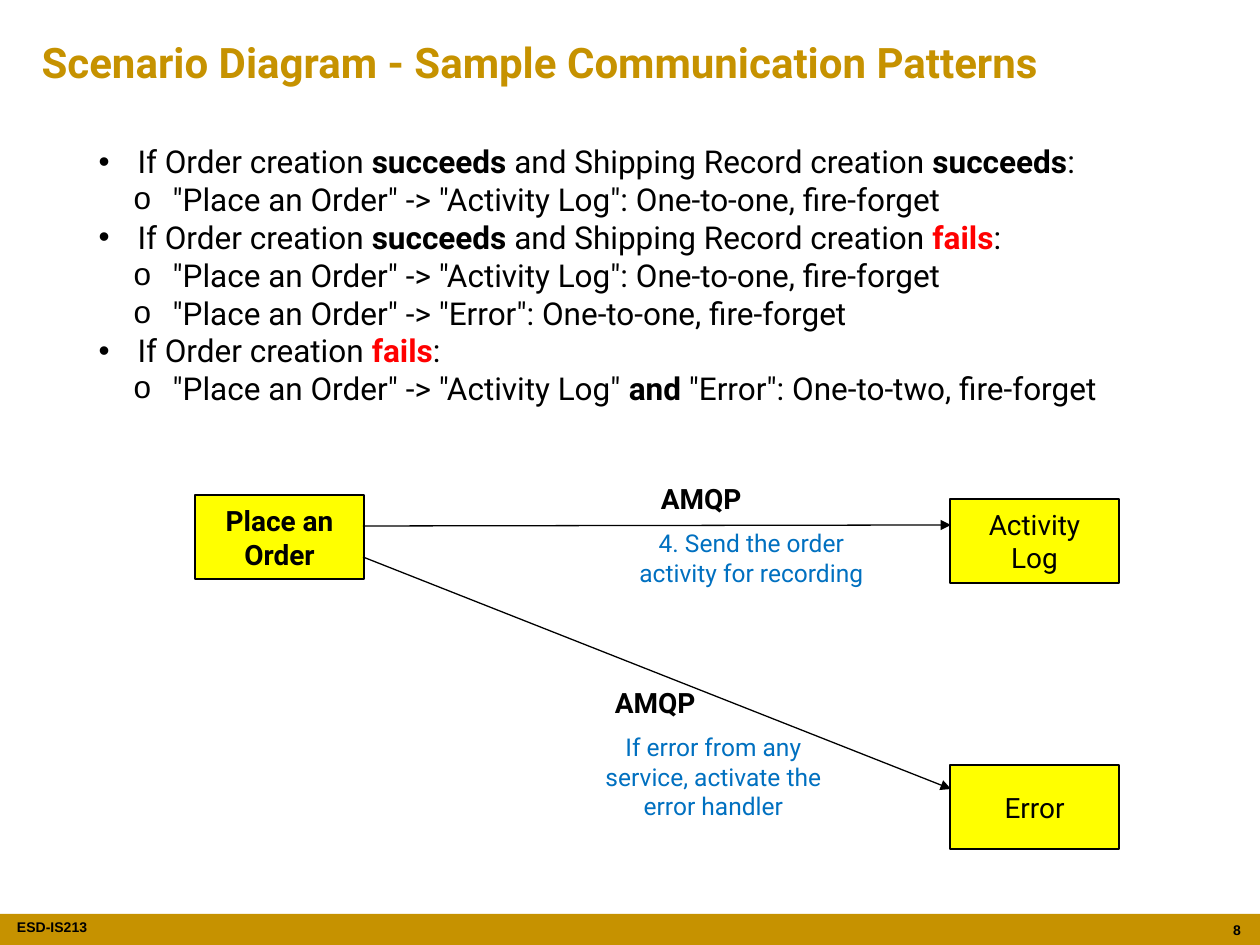
"""Build the slide of sample communication patterns between order services."""
import pptx
import pptx.util
import pptx.dml.color
import pptx.enum.shapes
import pptx.enum.text
import pptx.oxml.ns
from lxml import etree

WIDTH, HEIGHT, PX_PER_INCH = 1260, 945, 126
GOLD, YELLOW, BLACK, RED, BLUE = "C69200", "FFFF00", "000000", "FF0000", "0070C0"
ALIGN = pptx.enum.text.PP_ALIGN
ANCHOR = pptx.enum.text.MSO_ANCHOR

TITLE = "Scenario Diagram - Sample Communication Patterns"
SUCCEEDS = ("succeeds", BLACK)
FAILS = ("fails", RED)
LOG_ONLY = '"Place an Order" -> "Activity Log": One-to-one, fire-forget'
PATTERNS = [
    (0, ["If Order creation ", SUCCEEDS, " and Shipping Record creation ", SUCCEEDS, ":"]),
    (1, [LOG_ONLY]),
    (0, ["If Order creation ", SUCCEEDS, " and Shipping Record creation ", FAILS, ":"]),
    (1, [LOG_ONLY]),
    (1, ['"Place an Order" -> "Error": One-to-one, fire-forget']),
    (0, ["If Order creation ", FAILS, ":"]),
    (1, ['"Place an Order" -> "Activity Log" ', ("and", BLACK), ' "Error": One-to-two, fire-forget']),
]
BULLETS = [("•", 39), ("o", 74)]
HANGING = 39

SERVICE_SIZE = (169, 84)
SERVICES = [("Place an Order", 195, 495, True), ("Activity Log", 950, 499, False), ("Error", 950, 765, False)]
MESSAGES = [((363, 526), (951, 525)), ((363, 557), (951, 789))]
NOTES = [
    ("If error from any service, activate the error handler", (588, 726, 251, 102)),
    ("4. Send the order activity for recording", (626, 522, 251, 72)),
]
PROTOCOLS = [("AMQP", (602, 679, 111, 47)), ("AMQP", (648, 475, 111, 47))]
FOOTERS = [("ESD-IS213", (17, 912, 163, 32), ALIGN.LEFT, 0), ("8", (1205, 915, 49, 30), ALIGN.RIGHT, 13)]


def px(n):
    return pptx.util.Emu(round(n * 914400 / PX_PER_INCH))


def rgb(value):
    return pptx.dml.color.RGBColor.from_string(value)


def place(s, box):
    s.left, s.top, s.width, s.height = (px(n) for n in box)


def write(p, text, size=18, color=BLACK, bold=False, font="Roboto", align=ALIGN.LEFT):
    p.alignment = align
    r = p.add_run()
    r.text = text
    r.font.name, r.font.size, r.font.bold = font, pptx.util.Pt(size), bold
    r.font.color.rgb = rgb(color)


def add_label(s, text, box, wrap=True, inset=13, **style):
    sp = s.shapes.add_textbox(*(px(n) for n in box))
    tf = sp.text_frame
    tf.word_wrap = wrap
    tf.margin_left = tf.margin_right = px(inset)
    write(tf.paragraphs[0], text, **style)


def add_box(s, box, fill, line=None):
    sp = s.shapes.add_shape(pptx.enum.shapes.MSO_SHAPE.RECTANGLE, *(px(n) for n in box))
    sp.shadow.inherit = False
    sp.fill.solid()
    sp.fill.fore_color.rgb = rgb(fill)
    if line:
        sp.line.color.rgb = rgb(line)
        sp.line.width = pptx.util.Pt(0.75)
    else:
        sp.line.fill.background()
    return sp


def add_arrow(s, start, end):
    line = s.shapes.add_connector(
        pptx.enum.shapes.MSO_CONNECTOR.STRAIGHT, *(px(n) for n in start + end))
    line.line.color.rgb = rgb(BLACK)
    line.line.width = pptx.util.Pt(0.75)
    qn = pptx.oxml.ns.qn
    etree.SubElement(line.line._get_or_add_ln(), qn("a:tailEnd"), type="triangle")
    etree.SubElement(line._element.spPr, qn("a:effectLst"))


def set_bullet(p, char, left):
    qn = pptx.oxml.ns.qn
    pPr = p._p.get_or_add_pPr()
    pPr.set("marL", str(px(left)))
    pPr.set("indent", str(-px(HANGING)))
    etree.SubElement(pPr, qn("a:buFont"), typeface="Arial")
    etree.SubElement(pPr, qn("a:buChar"), char=char)


def fill_list(tf, items):
    for i, (level, parts) in enumerate(items):
        p = tf.paragraphs[0] if i == 0 else tf.add_paragraph()
        p.level = level
        p.space_before = pptx.util.Pt(0)
        p.line_spacing = pptx.util.Pt(21.6)
        set_bullet(p, *BULLETS[level])
        for part in parts:
            if isinstance(part, str):
                write(p, part)
            else:
                write(p, part[0], color=part[1], bold=True)


def main():
    prs = pptx.Presentation()
    prs.slide_width, prs.slide_height = px(WIDTH), px(HEIGHT)
    s = prs.slides.add_slide(prs.slide_layouts[1])
    title, body = s.placeholders

    add_box(s, (0, 914, WIDTH, 31), GOLD)
    for text, box, align, inset in FOOTERS:
        add_label(s, text, box, inset=inset, size=8, bold=True, font="Arial", align=align)

    place(title, (29, 30, 1202, 63))
    place(body, (86, 136, 1128, 318))
    for sp, anchor in ((title, ANCHOR.MIDDLE), (body, ANCHOR.TOP)):
        sp.text_frame.auto_size = pptx.enum.text.MSO_AUTO_SIZE.NONE
        sp.text_frame.vertical_anchor = anchor
    write(title.text_frame.paragraphs[0], TITLE, size=24, color=GOLD, bold=True)
    fill_list(body.text_frame, PATTERNS)

    for name, x, y, bold in SERVICES:
        tf = add_box(s, (x, y, *SERVICE_SIZE), YELLOW, BLACK).text_frame
        tf.word_wrap = True
        tf.vertical_anchor = ANCHOR.MIDDLE
        write(tf.paragraphs[0], name, size=16, bold=bold, align=ALIGN.CENTER)
    for start, end in MESSAGES:
        add_arrow(s, start, end)
    for text, box in NOTES:
        add_label(s, text, box, size=14, color=BLUE, align=ALIGN.CENTER)
    for text, box in PROTOCOLS:
        add_label(s, text, box, wrap=False, size=16, bold=True)

    prs.save("out.pptx")


if __name__ == "__main__":
    main()
